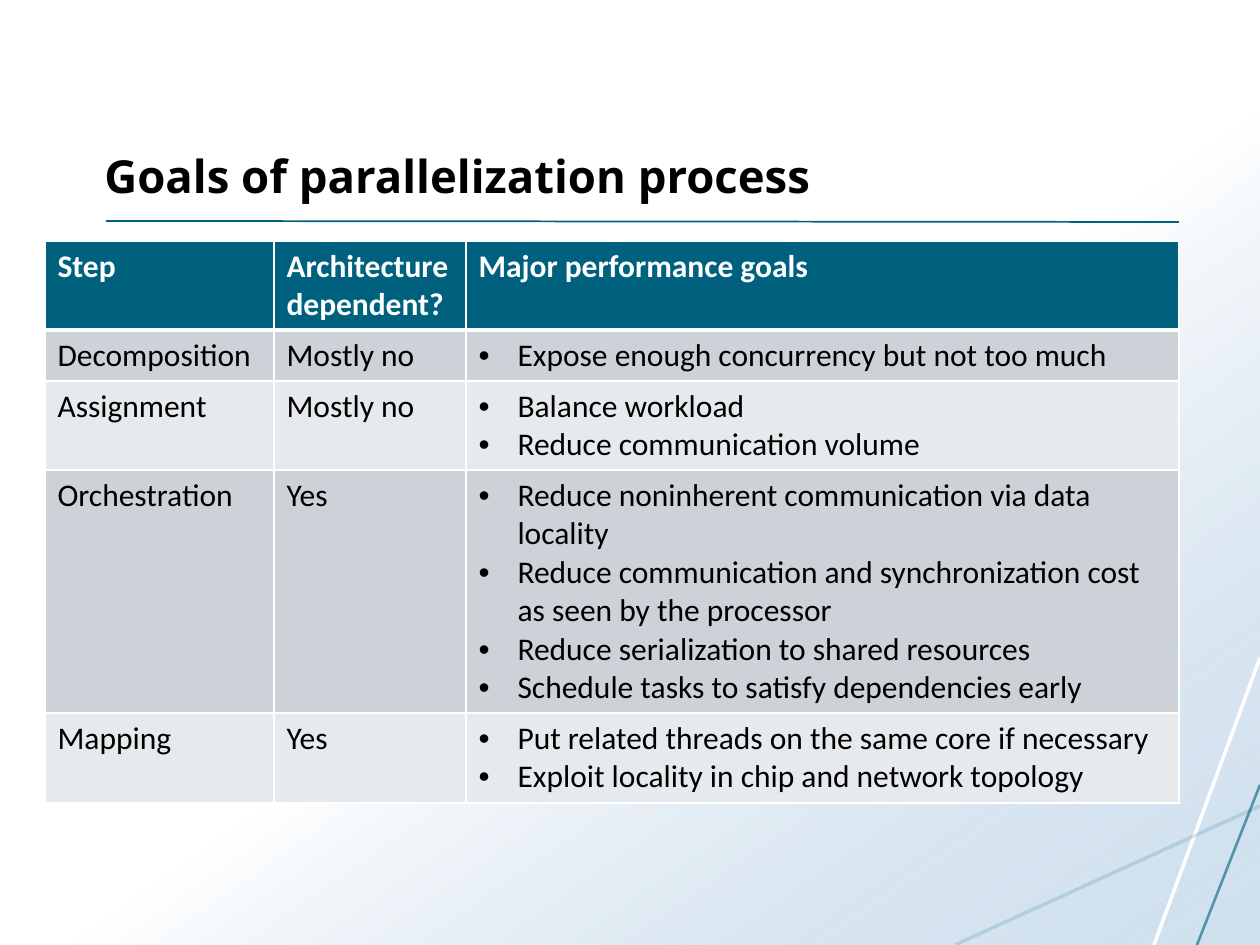
from lxml import etree
from pptx import Presentation
from pptx.dml.color import RGBColor
from pptx.enum.shapes import MSO_CONNECTOR as Connector, MSO_SHAPE as Shape
from pptx.enum.text import MSO_ANCHOR as Anchor
from pptx.oxml.ns import qn
from pptx.util import Emu, Pt

PIXEL = 914400 // 126
WHITE, BLACK, TEAL = "FFFFFF", "000000", "00617F"
BANDS = ["CCD2D8", "E7EAEC"]

HEADER = ["Step", "Architecture dependent?", "Major performance goals"]
STEPS = [
    ("Decomposition", "Mostly no", ["Expose enough concurrency but not too much"]),
    ("Assignment", "Mostly no", ["Balance workload", "Reduce communication volume"]),
    ("Orchestration", "Yes", [
        "Reduce noninherent communication via data locality",
        "Reduce communication and synchronization cost as seen by the processor",
        "Reduce serialization to shared resources",
        "Schedule tasks to satisfy dependencies early"]),
    ("Mapping", "Yes", [
        "Put related threads on the same core if necessary",
        "Exploit locality in chip and network topology"]),
]
COLUMN_WIDTHS = [229, 192, 713]
ROW_HEIGHTS = [89, 51, 89, 243, 90]


def px(length):
    return Emu(length * PIXEL)


def color(hex_text):
    return RGBColor.from_string(hex_text)


def add_child(parent, tag, **attributes):
    return etree.SubElement(parent, qn(tag), attributes)


def set_alpha(color_element, percent):
    add_child(color_element, "a:alpha", val=str(percent * 1000))


def add_run(paragraph, text, size, font, hex_text, bold=False):
    run = paragraph.add_run()
    run.text = text
    run.font.size, run.font.name, run.font.bold = Pt(size), font, bold
    run.font.color.rgb = color(hex_text)


def add_line(slide, start, end, hex_text, width, alpha=100):
    line = slide.shapes.add_connector(Connector.STRAIGHT, *map(px, start + end))
    line.line.color.rgb = color(hex_text)
    line.line.width = Pt(width)
    if alpha < 100:
        set_alpha(next(line._element.spPr.iter(qn("a:srgbClr"))), alpha)
    add_child(line._element.spPr, "a:effectLst")


def add_backdrop(slide, left, top, width, height):
    # Diagonal gradient
    backdrop = slide.shapes.add_shape(Shape.RECTANGLE, *map(px, (left, top, width, height)))
    backdrop.shadow.inherit = False
    backdrop.line.fill.background()
    backdrop.fill.gradient()
    gradient = backdrop._element.spPr.find(qn("a:gradFill"))
    for child in list(gradient):
        gradient.remove(child)
    stops = add_child(gradient, "a:gsLst")
    for position, hex_text, alpha in [(54, WHITE, 100), (100, "A9C7E0", 54)]:
        stop = add_child(stops, "a:gs", pos=str(position * 1000))
        set_alpha(add_child(stop, "a:srgbClr", val=hex_text), alpha)
    add_child(gradient, "a:lin", ang=str(55 * 60000), scaled="0")

    # Crossing lines in the lower right corner
    right, bottom = left + width, top + height
    for rise, run, hex_text, weight, alpha in [
            (287, 106, WHITE, 2, 100), (139, 305, "15718F", 2, 16), (160, 63, TEAL, 1.5, 60)]:
        add_line(slide, (right, bottom - rise), (right - run, bottom), hex_text, weight, alpha)


def add_title(slide, left, top, width, height):
    box = slide.shapes.add_textbox(*map(px, (left, top, width, height)))
    frame = box.text_frame
    frame.word_wrap = True
    frame.vertical_anchor = Anchor.BOTTOM
    add_run(frame.paragraphs[0], "Goals of parallelization process", 26, "Open Sans", BLACK, True)
    # Rule under the title
    add_line(slide, (left + 14, top + height + 12), (left + width + 1, top + height + 13), TEAL, 1)


def set_borders(cell, bottom_width):
    properties = cell._tc.get_or_add_tcPr()
    for index, (side, width) in enumerate([("L", 1), ("R", 1), ("T", 1), ("B", bottom_width)]):
        border = etree.Element(qn("a:ln" + side), w=str(Pt(width)))
        add_child(add_child(border, "a:solidFill"), "a:srgbClr", val=WHITE)
        properties.insert(index, border)


def add_bullet(paragraph):
    properties = paragraph._p.get_or_add_pPr()
    properties.set("marL", str(px(39)))
    properties.set("indent", str(px(-39)))
    add_child(properties, "a:buFont", typeface="Arial")
    add_child(properties, "a:buChar", char="•")


def fill_cell(cell, content, fill, hex_text, is_header):
    cell.fill.solid()
    cell.fill.fore_color.rgb = color(fill)
    set_borders(cell, 3 if is_header else 1)
    bulleted = isinstance(content, list)
    frame = cell.text_frame
    for index, text in enumerate(content if bulleted else [content]):
        paragraph = frame.add_paragraph() if index else frame.paragraphs[0]
        if bulleted:
            add_bullet(paragraph)
        add_run(paragraph, text, 18, "Calibri", hex_text, is_header)


def add_goals_table(slide, left, top):
    rows = [HEADER] + STEPS
    size = sum(COLUMN_WIDTHS), sum(ROW_HEIGHTS)
    table = slide.shapes.add_table(
        len(rows), len(HEADER), *map(px, (left, top) + size)).table
    for column, width in zip(table.columns, COLUMN_WIDTHS):
        column.width = px(width)
    for index, (row, height, contents) in enumerate(zip(table.rows, ROW_HEIGHTS, rows)):
        row.height = px(height)
        is_header = index == 0
        fill = TEAL if is_header else BANDS[(index - 1) % 2]
        for cell, content in zip(row.cells, contents):
            fill_cell(cell, content, fill, WHITE if is_header else BLACK, is_header)


presentation = Presentation()
presentation.slide_width, presentation.slide_height = px(1260), px(945)
slide = presentation.slides.add_slide(presentation.slide_layouts[6])
add_backdrop(slide, 0, 0, 1260, 945)
add_title(slide, 92, 42, 1086, 167)
add_goals_table(slide, 45, 241)
presentation.save("out.pptx")
